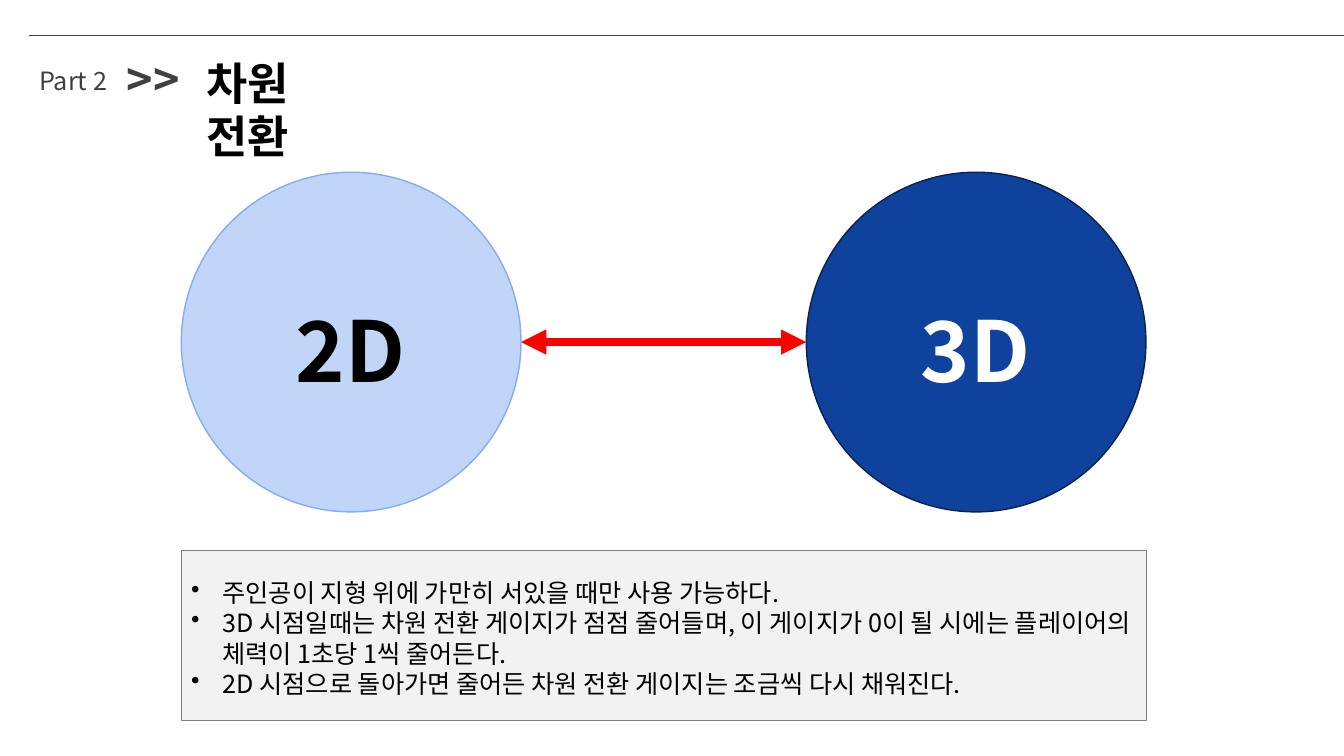
from dataclasses import dataclass

from lxml import etree
from pptx import Presentation
from pptx import util as u
from pptx.dml.color import RGBColor
from pptx.enum import shapes, text
from pptx.oxml import ns

FONT = "Noto Sans CJK KR"
COLORS = {
    "black": "000000", "white": "FFFFFF", "gray": "404040", "red": "FF0000",
    "sky": "C1D5F9", "sky_edge": "84ACF3", "navy": "0F429D", "navy_edge": "08214E",
    "panel": "F2F2F2", "panel_edge": "808080",
}
DIAMETER = 8.56
CIRCLE_TOP = 4.34
MIDDLE = CIRCLE_TOP + DIAMETER / 2


@dataclass
class Label:
    words: str
    left: float
    top: float
    width: float
    height: float
    size: int
    color: str
    bold: bool = True
    wrap: bool = False
    centered: bool = False


@dataclass
class Panel:
    kind: shapes.MSO_SHAPE
    left: float
    top: float
    width: float
    height: float
    fill: str
    edge: str


@dataclass
class Rule:
    left: float
    right: float
    y: float
    color: str
    weight: float
    arrows: bool = False


CIRCLES = [
    Panel(shapes.MSO_SHAPE.OVAL, 4.57, CIRCLE_TOP, DIAMETER, DIAMETER, "sky", "sky_edge"),
    Panel(shapes.MSO_SHAPE.OVAL, 20.32, CIRCLE_TOP, DIAMETER, DIAMETER, "navy", "navy_edge"),
]
NOTE = Panel(shapes.MSO_SHAPE.RECTANGLE, 4.57, 13.87, 24.32, 4.29, "panel", "panel_edge")
HEADER_RULE = Rule(0.74, 33.87, 0.89, "gray", 0.5)
SWITCH_ARROW = Rule(CIRCLES[0].left + DIAMETER, CIRCLES[1].left, MIDDLE, "red", 6, True)
LABELS = [
    Label(">>", 2.95, 1.09, 2, 1.63, 32, "gray"),
    Label("차원 전환", 4.95, 1.17, 4.75, 1.63, 32, "black", wrap=True),
    Label("Part 2", 0.74, 1.47, 2.23, 1.02, 18, "gray", bold=False),
    Label("2D", 7.19, 7.21, 3.3, 2.82, 60, "black", centered=True),
    Label("3D", 22.94, 7.21, 3.3, 2.82, 60, "white", centered=True),
]
NOTES = [
    "주인공이 지형 위에 가만히 서있을 때만 사용 가능하다.",
    "3D 시점일때는 차원 전환 게이지가 점점 줄어들며, 이 게이지가 0이 될 시에는 플레이어의 체력이 1초당 1씩 줄어든다.",
    "2D 시점으로 돌아가면 줄어든 차원 전환 게이지는 조금씩 다시 채워진다.",
]


def rgb(name: str) -> RGBColor:
    return RGBColor.from_string(COLORS[name])


def write(para, words: str, *, size: int, color: str, bold: bool = False,
          centered: bool = False, bullet: bool = False) -> None:
    if bullet:
        properties = para._p.get_or_add_pPr()
        properties.set("marL", str(u.Cm(0.79)))
        properties.set("indent", str(u.Cm(-0.79)))
        etree.SubElement(properties, ns.qn("a:buChar")).set("char", "•")
    para.alignment = text.PP_ALIGN.CENTER if centered else text.PP_ALIGN.LEFT
    para.line_spacing = u.Pt(size * 1.2)
    span = para.add_run()
    span.text = words
    span.font.name = FONT
    span.font.size = u.Pt(size)
    span.font.bold = bold
    span.font.color.rgb = rgb(color)
    etree.SubElement(span._r.get_or_add_rPr(), ns.qn("a:ea")).set("typeface", FONT)


def draw_label(page, label: Label) -> None:
    box = page.shapes.add_textbox(u.Cm(label.left), u.Cm(label.top),
                                  u.Cm(label.width), u.Cm(label.height))
    frame = box.text_frame
    frame.word_wrap = label.wrap
    frame.margin_top = u.Cm(0.13 + label.size * 0.003)
    write(frame.paragraphs[0], label.words, size=label.size, color=label.color,
          bold=label.bold, centered=label.centered)


def draw_panel(page, panel: Panel):
    shape = page.shapes.add_shape(panel.kind, u.Cm(panel.left), u.Cm(panel.top),
                                  u.Cm(panel.width), u.Cm(panel.height))
    shape.shadow.inherit = False
    shape.fill.solid()
    shape.fill.fore_color.rgb = rgb(panel.fill)
    shape.line.color.rgb = rgb(panel.edge)
    shape.line.width = u.Pt(1)
    return shape


def draw_rule(page, rule: Rule) -> None:
    line = page.shapes.add_connector(shapes.MSO_CONNECTOR.STRAIGHT, u.Cm(rule.left),
                                     u.Cm(rule.y), u.Cm(rule.right), u.Cm(rule.y))
    line.line.color.rgb = rgb(rule.color)
    line.line.width = u.Pt(rule.weight)
    if rule.arrows:
        for end in ("a:headEnd", "a:tailEnd"):
            etree.SubElement(line.line._get_or_add_ln(), ns.qn(end)).set("type", "triangle")
    etree.SubElement(line._element.spPr, ns.qn("a:effectLst"))


def draw_notes(page) -> None:
    frame = draw_panel(page, NOTE).text_frame
    frame.word_wrap = True
    frame.vertical_anchor = text.MSO_ANCHOR.MIDDLE
    frame.margin_top = u.Cm(0.24)
    for index, words in enumerate(NOTES):
        para = frame.add_paragraph() if index else frame.paragraphs[0]
        write(para, words, size=18, color="black", bullet=True)


def main() -> None:
    deck = Presentation()
    deck.slide_width, deck.slide_height = u.Cm(33.87), u.Cm(19.05)
    page = deck.slides.add_slide(deck.slide_layouts[6])
    draw_rule(page, HEADER_RULE)
    for circle in CIRCLES:
        draw_panel(page, circle)
    for label in LABELS:
        draw_label(page, label)
    draw_rule(page, SWITCH_ARROW)
    draw_notes(page)
    deck.save("out.pptx")


if __name__ == "__main__":
    main()
